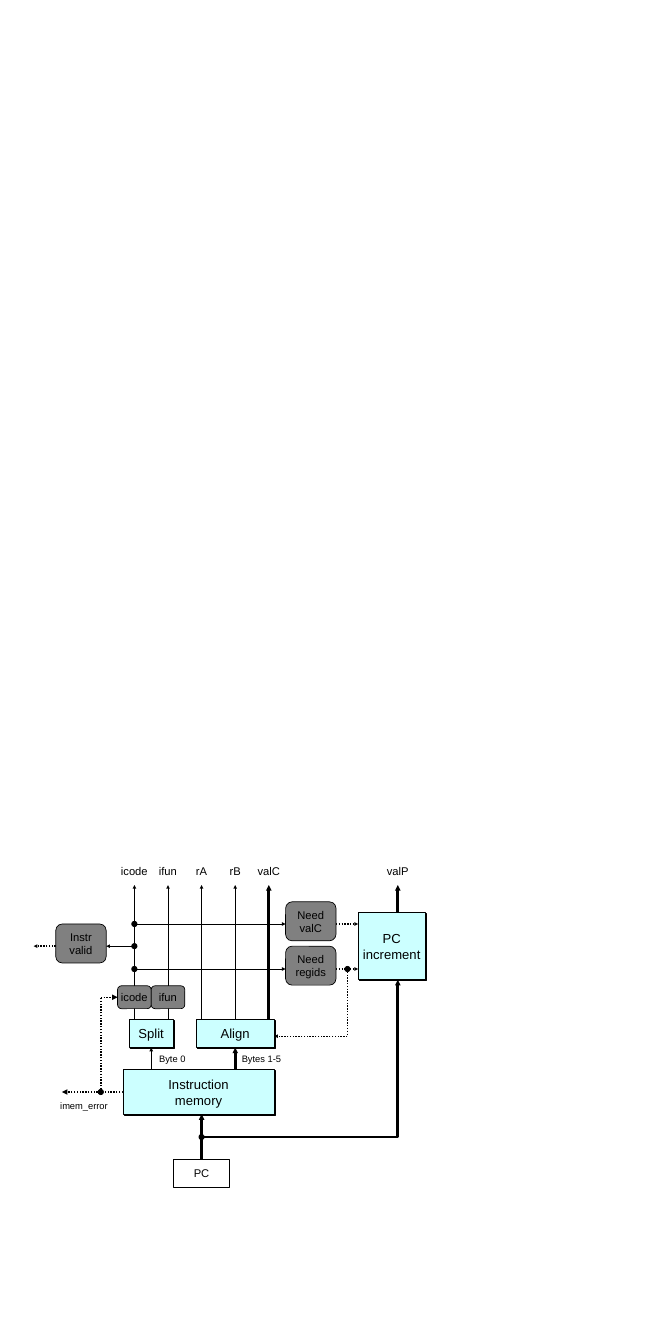
from dataclasses import dataclass
from typing import Optional

import lxml.etree
import pptx
import pptx.dml.color
import pptx.enum.dml
import pptx.enum.shapes
import pptx.enum.text
import pptx.oxml.ns
import pptx.util

Inches = pptx.util.Inches
qn = pptx.oxml.ns.qn
SHAPE = pptx.enum.shapes.MSO_SHAPE
ALIGN = pptx.enum.text.PP_ALIGN
DOTTED = pptx.enum.dml.MSO_LINE.ROUND_DOT

BLACK, WHITE, CYAN, GRAY = "000000", "FFFFFF", "CCFFFF", "808080"
FRAME = {"word_wrap": False, "vertical_anchor": pptx.enum.text.MSO_ANCHOR.MIDDLE}
CAPTION = {"word_wrap": False,
           "auto_size": pptx.enum.text.MSO_AUTO_SIZE.SHAPE_TO_FIT_TEXT}
THIN = {"width": pptx.util.Pt(1)}
BUS = {"width": pptx.util.Pt(3)}
CONTROL = {"width": pptx.util.Pt(1.5), "dash_style": DOTTED}


@dataclass(frozen=True)
class Style:
    kind: SHAPE
    fill: Optional[str]
    size: int = 12
    border: float = 0.75
    shadow: bool = False


UNIT = Style(SHAPE.RECTANGLE, CYAN, size=14, shadow=True)
LOGIC = Style(SHAPE.ROUNDED_RECTANGLE, GRAY)
REGISTER = Style(SHAPE.RECTANGLE, WHITE, border=1)
SIGNAL = Style(SHAPE.OVAL, WHITE, border=0)
STATUS = Style(SHAPE.OVAL, None, size=10, border=0)
JUNCTION = Style(SHAPE.OVAL, BLACK)


@dataclass(frozen=True)
class Box:
    text: str
    x: float
    y: float
    w: float
    h: float
    style: Style


@dataclass(frozen=True)
class Wire:
    points: tuple
    line: dict
    arrow: Optional[str] = "sm"


SIGNALS = {"icode": 2, "ifun": 2.5, "rA": 3, "rB": 3.5, "valC": 4, "valP": 5.92}
BOXES = [
    Box("Instruction\nmemory", 1.83, 15.92, 2.25, 0.66, UNIT),
    Box("PC\nincrement", 5.33, 13.58, 1, 1, UNIT),
    Box("Align", 2.92, 15.17, 1.16, 0.42, UNIT),
    Box("Split", 1.92, 15.17, 0.66, 0.42, UNIT),
    Box("PC", 2.58, 17.25, 0.84, 0.42, REGISTER),
    Box("Need\nvalC", 4.25, 13.42, 0.75, 0.58, LOGIC),
    Box("Need\nregids", 4.25, 14.08, 0.75, 0.58, LOGIC),
    Box("Instr\nvalid", 0.83, 13.75, 0.75, 0.58, LOGIC),
    Box("icode", 1.75, 14.67, 0.5, 0.34, LOGIC),
    Box("ifun", 2.25, 14.67, 0.5, 0.34, LOGIC),
    Box("imem_error", 0.75, 16.25, 1, 0.42, STATUS),
]
WIRES = [
    *(Wire(((x, 13.58 if name == "valP" else 15.17), (x, 13.17)),
           BUS if name.startswith("val") else THIN)
      for name, x in SIGNALS.items()),
    Wire(((3, 17.25), (3, 16.58)), BUS),
    Wire(((3, 16.92), (5.92, 16.92), (5.92, 14.58)), BUS),
    Wire(((3.5, 15.92), (3.5, 15.59)), BUS),
    Wire(((2.25, 15.92), (2.25, 15.59)), THIN),
    *(Wire(((2, y), (4.25, y)), THIN) for y in (13.75, 14.42)),
    *(Wire(((5, y), (5.33, y)), CONTROL) for y in (13.75, 14.42)),
    Wire(((2, 14.08), (1.58, 14.08)), THIN),
    Wire(((0.83, 14.08), (0.5, 14.08)), CONTROL),
    Wire(((5.17, 14.42), (5.17, 15.42), (4.08, 15.42)), CONTROL),
    Wire(((1.83, 16.25), (0.92, 16.25)), CONTROL, arrow="med"),
    Wire(((1.5, 16.25), (1.5, 14.84)), CONTROL, arrow=None),
    Wire(((1.5, 14.84), (1.75, 14.84)), CONTROL, arrow="med"),
]
JUNCTIONS = [(2, 13.75), (2, 14.08), (2, 14.42), (5.17, 14.42), (3, 16.92), (1.5, 16.25)]
DOT = 0.08


def rgb(color: str):
    return pptx.dml.color.RGBColor.from_string(color)


def apply(target, values: dict) -> None:
    for name, value in values.items():
        setattr(target, name, value)


def write(tf, text: str, size: int, align) -> None:
    for i, line in enumerate(text.split("\n")):
        p = tf.add_paragraph() if i else tf.paragraphs[0]
        p.alignment = align
        r = p.add_run()
        r.text = line
        apply(r.font, {"name": "Arial", "size": pptx.util.Pt(size)})
        r.font.color.rgb = rgb(BLACK)


def add_drop_shadow(sp) -> None:
    effects = sp._element.spPr.find(qn("a:effectLst"))
    shadow = lxml.etree.SubElement(effects, qn("a:outerShdw"), dist="17780",
                                   dir="2700000", algn="ctr", rotWithShape="0")
    lxml.etree.SubElement(shadow, qn("a:srgbClr"), val=BLACK)


def add_box(s, box: Box):
    style = box.style
    sp = s.shapes.add_shape(style.kind, *map(Inches, (box.x, box.y, box.w, box.h)))
    sp.shadow.inherit = False
    if style.fill:
        sp.fill.solid()
        sp.fill.fore_color.rgb = rgb(style.fill)
    else:
        sp.fill.background()
    if style.border:
        sp.line.color.rgb = rgb(BLACK)
        sp.line.width = pptx.util.Pt(style.border)
    else:
        sp.line.fill.background()
    if style.shadow:
        add_drop_shadow(sp)
    if box.text:
        apply(sp.text_frame, FRAME)
        write(sp.text_frame, box.text, style.size, ALIGN.CENTER)
    return sp


def add_wire(s, wire: Wire):
    """Draw a straight wire as a connector and a bent one as an open outline."""
    points = [(Inches(x), Inches(y)) for x, y in wire.points]
    if len(points) == 2:
        sp = s.shapes.add_connector(pptx.enum.shapes.MSO_CONNECTOR.STRAIGHT,
                                    *points[0], *points[1])
    else:
        builder = s.shapes.build_freeform(*points[0])
        builder.add_line_segments(points[1:], close=False)
        sp = builder.convert_to_shape()
        sp.fill.background()
    sp.line.color.rgb = rgb(BLACK)
    apply(sp.line, wire.line)
    if wire.arrow:
        lxml.etree.SubElement(sp.line._get_or_add_ln(), qn("a:tailEnd"),
                              type="triangle", w=wire.arrow, len=wire.arrow)
    lxml.etree.SubElement(sp._element.spPr, qn("a:effectLst"))
    return sp


def join(wire: Wire, connector, box: Box, sp) -> None:
    """Attach wire ends that lie at the middle of a side of the box."""
    mid_x, mid_y = box.x + box.w / 2, box.y + box.h / 2
    sides = [(mid_x, box.y), (box.x, mid_y), (mid_x, box.y + box.h), (box.x + box.w, mid_y)]
    ends = (connector.begin_connect, connector.end_connect)
    for (x, y), connect in zip(wire.points, ends):
        for site, (side_x, side_y) in enumerate(sides):
            if abs(x - side_x) < 0.01 and abs(y - side_y) < 0.01:
                connect(sp, site)


def add_caption(s, text: str, x: float, width: float) -> None:
    tf = s.shapes.add_textbox(*map(Inches, (x, 15.62, width, 0.27))).text_frame
    apply(tf, CAPTION)
    write(tf, text, 10, ALIGN.LEFT)


def main() -> None:
    prs = pptx.Presentation()
    apply(prs, {"slide_width": Inches(10), "slide_height": Inches(20)})
    s = prs.slides.add_slide(prs.slide_layouts[6])

    for name, x in SIGNALS.items():
        add_box(s, Box(name, x - 0.25, 12.75, 0.5, 0.42, SIGNAL))
    wires = [(wire, add_wire(s, wire)) for wire in WIRES]
    boxes = [(box, add_box(s, box)) for box in BOXES]
    for x, y in JUNCTIONS:
        add_box(s, Box("", x - DOT / 2, y - DOT / 2, DOT, DOT, JUNCTION))
    add_caption(s, "Bytes 1-5", 3.5, 0.8)
    add_caption(s, "Byte 0", 2.27, 0.6)

    for wire, connector in wires:
        for box, sp in boxes:
            if len(wire.points) == 2 and box.style.kind != SHAPE.OVAL:
                join(wire, connector, box, sp)
    prs.save("out.pptx")


if __name__ == "__main__":
    main()
